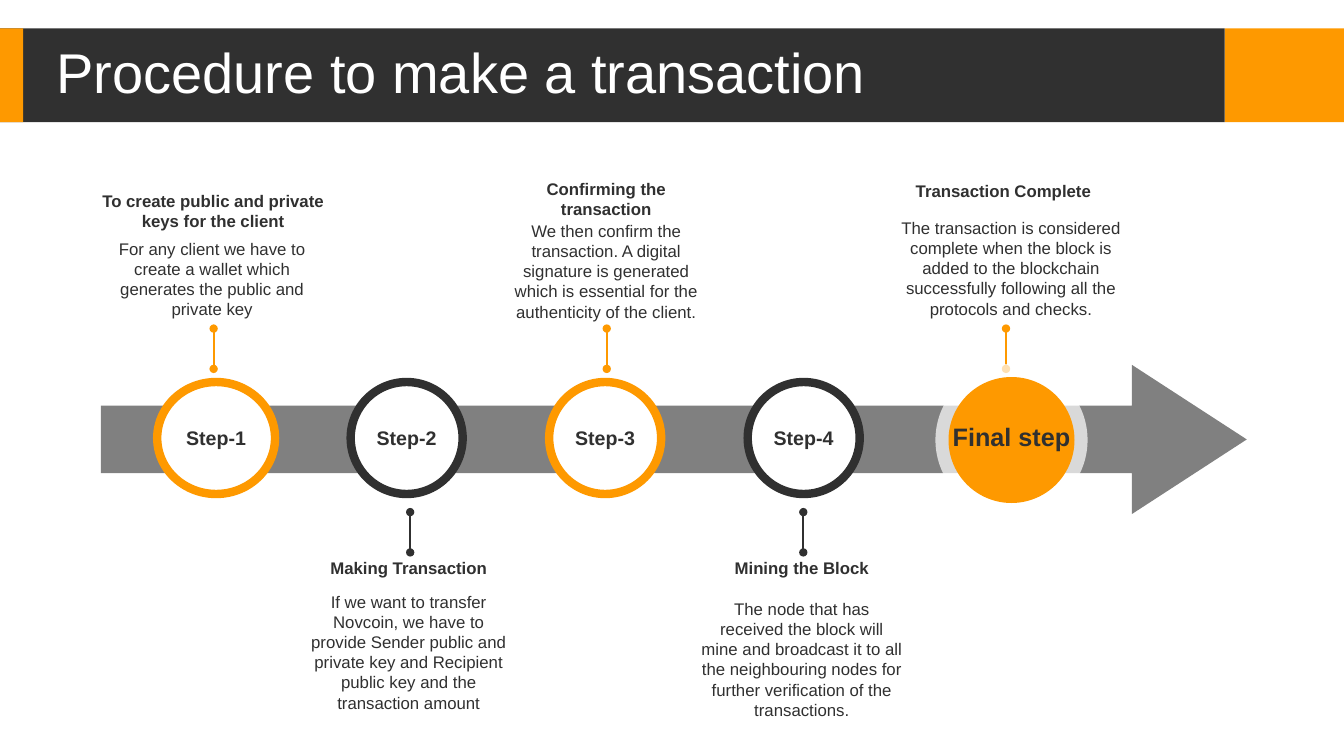
from lxml import etree
from pptx import Presentation
from pptx.dml.color import RGBColor
from pptx.enum.shapes import MSO_CONNECTOR, MSO_SHAPE
from pptx.enum.text import MSO_ANCHOR, PP_ALIGN
from pptx.oxml.ns import qn
from pptx.util import Pt

RECTANGLE, OVAL, ARROW = MSO_SHAPE.RECTANGLE, MSO_SHAPE.OVAL, MSO_SHAPE.RIGHT_ARROW
STRAIGHT = MSO_CONNECTOR.STRAIGHT
TOP, MIDDLE = MSO_ANCHOR.TOP, MSO_ANCHOR.MIDDLE
LEFT, CENTER = PP_ALIGN.LEFT, PP_ALIGN.CENTER

ORANGE = RGBColor(0xFE, 0x99, 0x00)
DARK = RGBColor(0x30, 0x30, 0x30)
GRAY = RGBColor(0x80, 0x80, 0x80)
WHITE = RGBColor(0xFF, 0xFF, 0xFF)
FONT = "Arial"

# Content
TITLE = "Procedure to make a transaction"
STEPS = ["Step-1", "Step-2", "Step-3", "Step-4"]
FINAL_STEP = "Final step"

# Callouts: heading, its (left, top, width, lines), body, its (left, top, width, lines)
CALLOUTS = [
    ("To create public and private keys for the client", (57.6, 132.5, 189.4, 2),
     "For any client we have to create a wallet which generates the public and "
     "private key", (72.7, 167, 157.7, 4)),
    ("Making Transaction", (213.1, 394.6, 157.7, 1),
     "If we want to transfer Novcoin, we have to provide Sender public and private "
     "key and Recipient public key and the transaction amount",
     (213.1, 419, 157.7, 6)),
    ("Confirming the transaction", (354.2, 123.8, 157.7, 3),
     "We then confirm the transaction. A digital signature is generated which is "
     "essential for the authenticity of the client.", (354.2, 154.1, 157.7, 5)),
    ("Mining the Block", (493.9, 394.6, 157.7, 1),
     "The node that has received the block will mine and broadcast it to all the "
     "neighbouring nodes for further verification of the transactions.",
     (493.9, 424.1, 157.7, 6)),
    ("Transaction Complete", (637.9, 125.3, 157.7, 1),
     "The transaction is considered complete when the block is added to the "
     "blockchain successfully following all the protocols and checks.",
     (635.8, 151.9, 172.8, 5)),
]

# Layout, in points
SLIDE_WIDTH, SLIDE_HEIGHT = 960, 540
BAND_TOP, BAND_HEIGHT = 20.2, 67
BAND_SPLIT, BAND_EDGE = 874.8, 16.6
CENTER_Y = 312.9
RING, FIRST_RING_WIDTH = 80, 84.2
FIRST_RING_X, SECOND_RING_X, RING_PITCH = 154.4, 290.5, 141.8
PIN_X = [152.6, 293, 433.4, 573.8, 718.6]
UPPER_PIN, LOWER_PIN = (263.5, 234.7), (394.6, 365.8)
FINAL_X, FINAL_Y = 722.5, 314.3
LINE_HEIGHT, BOX_PADDING = 14.4, 7.2

presentation = Presentation()
presentation.slide_width = Pt(SLIDE_WIDTH)
presentation.slide_height = Pt(SLIDE_HEIGHT)
slide = presentation.slides.add_slide(presentation.slide_layouts[5])
shapes = slide.shapes


def write(shape, text, *, size=12, color=DARK, bold=False, align=CENTER,
          anchor=TOP, wrap=True):
    """Put formatted text in a shape and return its paragraph."""
    frame = shape.text_frame
    frame.word_wrap = wrap
    frame.vertical_anchor = anchor
    paragraph = frame.paragraphs[0]
    paragraph.alignment = align
    run = paragraph.add_run()
    run.text = text
    run.font.name = FONT
    run.font.size = Pt(size)
    run.font.bold = bold
    run.font.color.rgb = color
    return paragraph


def add_figure(kind, left, top, width, height, fill, outline=None):
    shape = shapes.add_shape(kind, Pt(left), Pt(top), Pt(width), Pt(height))
    shape.shadow.inherit = False
    shape.fill.solid()
    shape.fill.fore_color.rgb = fill
    if outline is None:
        shape.line.fill.background()
    else:
        shape.line.color.rgb = outline
        shape.line.width = Pt(6)
    return shape


def add_disc(x, y, width, height, fill, outline=None):
    return add_figure(OVAL, x - width / 2, y - height / 2, width, height, fill, outline)


def add_pin(x, start, end, color):
    """Draw a vertical line with a dot at each end."""
    pin = shapes.add_connector(STRAIGHT, Pt(x), Pt(start), Pt(x), Pt(end))
    pin.line.color.rgb = color
    pin.line.width = Pt(1.5)
    line = pin.line._get_or_add_ln()
    for tag in ("a:headEnd", "a:tailEnd"):
        etree.SubElement(line, qn(tag), type="oval")
    etree.SubElement(pin.element.spPr, qn("a:effectLst"))


def add_callout_text(text, box, bold=False):
    left, top, width, lines = box
    height = lines * LINE_HEIGHT + BOX_PADDING
    text_box = shapes.add_textbox(Pt(left), Pt(top), Pt(width), Pt(height))
    write(text_box, text, bold=bold)


# Title band
for left, width, fill in [(BAND_SPLIT, SLIDE_WIDTH - BAND_SPLIT, ORANGE),
                          (0, BAND_SPLIT, DARK),
                          (0, BAND_EDGE, ORANGE)]:
    add_figure(RECTANGLE, left, BAND_TOP, width, BAND_HEIGHT, fill)

# Title, moved in front of the band
title = shapes.title
title.left, title.top, title.width, title.height = Pt(33.1), Pt(25.2), Pt(698.4), Pt(56.9)
heading = write(title, TITLE, size=40, color=WHITE, align=LEFT, anchor=MIDDLE)
heading.line_spacing = 0.9
heading.space_before = Pt(10)
shapes.element.append(title.element)

# Timeline arrow
arrow = add_figure(ARROW, 72, 260.6, 818.6, 106.6, GRAY)
arrow.adjustments[0] = 0.453
arrow.adjustments[1] = 0.77

# Callouts and pins, alternating above and below the arrow
for index, (name, name_box, body, body_box) in enumerate(CALLOUTS):
    add_callout_text(name, name_box, bold=True)
    add_callout_text(body, body_box)
    above = index % 2 == 0
    add_pin(PIN_X[index], *(UPPER_PIN if above else LOWER_PIN),
            ORANGE if above else DARK)

# Step rings
for index, label in enumerate(STEPS):
    x = SECOND_RING_X + (index - 1) * RING_PITCH if index else FIRST_RING_X
    width = RING if index else FIRST_RING_WIDTH
    ring = add_disc(x, CENTER_Y, width, RING, WHITE, DARK if index % 2 else ORANGE)
    write(ring, label, size=14, bold=True, anchor=MIDDLE, wrap=False)

# Final step: translucent halo, then the disc
halo = add_disc(FINAL_X, FINAL_Y, 108.7, 108.7, WHITE)
halo_color = halo.element.spPr.find(qn("a:solidFill")).find(qn("a:srgbClr"))
etree.SubElement(halo_color, qn("a:alpha"), val="70000")
final_disc = add_disc(FINAL_X, FINAL_Y, 90, 90, ORANGE)
write(final_disc, FINAL_STEP, size=18, bold=True, anchor=MIDDLE, wrap=False)
final_disc.text_frame.margin_bottom = Pt(9)

presentation.save("out.pptx")
